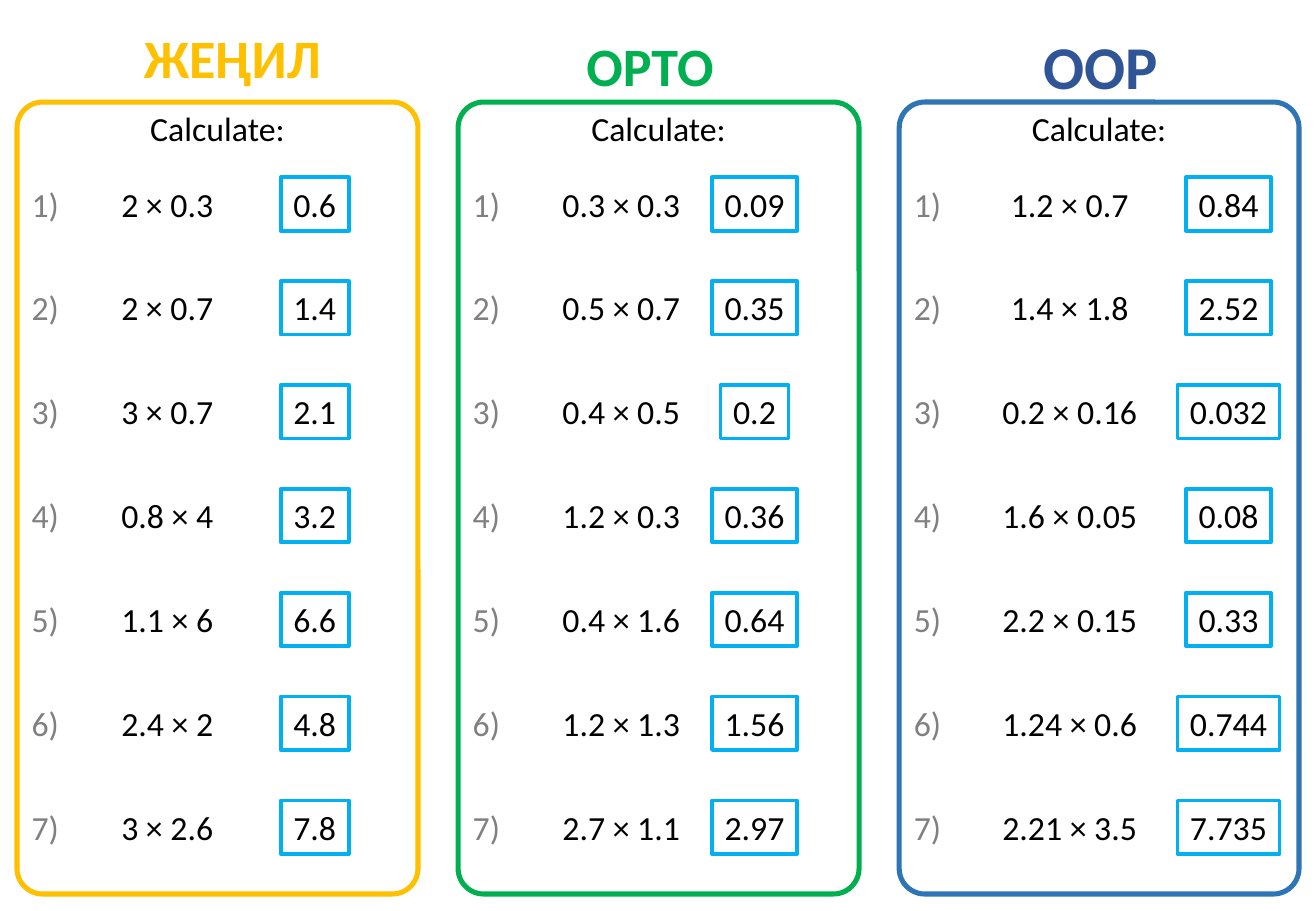
from pptx import Presentation
from pptx.dml import color
from pptx.enum import shapes, text
from pptx import util as u

FONT = "Calibri"
BLACK, GRAY, WHITE, CYAN = "000000", "808080", "FFFFFF", "00B0F0"
ROW_TOP, ROW_PITCH, LINE_HEIGHT = 0.62, 0.855, 0.44

CARDS = [
    dict(box=(0.14, 0.84, 3.3, 6.52), outline="FFC000",
         title="ЖЕҢИЛ", title_box=(0.72, -0.69, 2.11, 0.64),
         title_size=32, title_color="FFC000",
         question_center=1.24, answer_center=2.45,
         sums=[("2 × 0.3", "0.6"), ("2 × 0.7", "1.4"), ("3 × 0.7", "2.1"),
               ("0.8 × 4", "3.2"), ("1.1 × 6", "6.6"), ("2.4 × 2", "4.8"),
               ("3 × 2.6", "7.8")]),
    dict(box=(3.77, 0.84, 3.3, 6.52), outline="00B050",
         title="ОРТО", title_box=(0.93, -0.62, 1.3, 0.58),
         title_size=32, title_color="00B050",
         question_center=1.35, answer_center=2.44,
         sums=[("0.3 × 0.3", "0.09"), ("0.5 × 0.7", "0.35"), ("0.4 × 0.5", "0.2"),
               ("1.2 × 0.3", "0.36"), ("0.4 × 1.6", "0.64"), ("1.2 × 1.3", "1.56"),
               ("2.7 × 1.1", "2.97")]),
    dict(box=(7.4, 0.84, 3.29, 6.52), outline="2E75B6",
         title="ООР", title_box=(0.94, -0.65, 1.43, 0.71),
         title_size=36, title_color="2F5597",
         question_center=1.41, answer_center=2.71,
         sums=[("1.2 × 0.7", "0.84"), ("1.4 × 1.8", "2.52"), ("0.2 × 0.16", "0.032"),
               ("1.6 × 0.05", "0.08"), ("2.2 × 0.15", "0.33"), ("1.24 × 0.6", "0.744"),
               ("2.21 × 3.5", "7.735")]),
]


def rgb(value):
    """Turn a hex string into a colour."""
    return color.RGBColor.from_string(value)


def inches(box):
    """Convert a left, top, width, height box to lengths."""
    return [u.Inches(length) for length in box]


def text_width(content):
    """Return the width a sum or an answer needs, insets included."""
    digits = sum(character.isdigit() for character in content)
    return 0.2 + 0.14 * digits + 0.08 * content.count(".") + 0.26 * content.count("×")


def centered_box(center, top, content):
    """Return a one-line box around a centre position."""
    width = text_width(content)
    return center - width / 2, top, width, LINE_HEIGHT


def write(shape, content, size=20, ink=BLACK, bold=False, align="CENTER",
          insets=(0.1, 0.05, 0.1, 0.05), wrap=False):
    """Put one formatted line of text in a shape."""
    frame = shape.text_frame
    frame.word_wrap = wrap
    frame.vertical_anchor = text.MSO_ANCHOR.TOP
    (frame.margin_left, frame.margin_top,
     frame.margin_right, frame.margin_bottom) = inches(insets)
    paragraph = frame.paragraphs[0]
    paragraph.text = content
    paragraph.alignment = getattr(text.PP_ALIGN, align)
    font = paragraph.runs[0].font
    font.name, font.size, font.bold = FONT, u.Pt(size), bold
    font.color.rgb = rgb(ink)


def add_text(slide, box, content, **formats):
    """Add a text box with one formatted line."""
    write(slide.shapes.add_textbox(*inches(box)), content, **formats)


def add_outline(slide, kind, box, line_color, line_width, fill=None):
    """Add an outlined preset shape."""
    shape = slide.shapes.add_shape(kind, *inches(box))
    shape.shadow.inherit = False
    if fill:
        shape.fill.solid()
        shape.fill.fore_color.rgb = rgb(fill)
    else:
        shape.fill.background()
    shape.line.color.rgb = rgb(line_color)
    shape.line.width = u.Pt(line_width)
    return shape


def add_sum(slide, left, top, number, question, answer, question_center, answer_center):
    """Add a numbered sum and its boxed answer."""
    add_text(slide, (left, top + 0.05, 0.35, 0.34), f"{number})",
             ink=GRAY, align="LEFT", insets=(0.12, 0, 0, 0))
    add_text(slide, centered_box(left + question_center, top, question),
             question, align="LEFT")
    answer_box = add_outline(slide, shapes.MSO_SHAPE.RECTANGLE,
                             centered_box(left + answer_center, top, answer),
                             CYAN, 2.25, WHITE)
    write(answer_box, answer)


def add_card(slide, box, outline, title, title_box, title_size, title_color,
             question_center, answer_center, sums):
    """Add one difficulty level with its title and sums."""
    left, top, width, height = box
    frame = add_outline(slide, shapes.MSO_SHAPE.ROUNDED_RECTANGLE, box, outline, 3)
    frame.adjustments[0] = 0.064
    add_text(slide, (left + width / 2 - 0.66, top, 1.32, LINE_HEIGHT), "Calculate:")
    for row, (question, answer) in enumerate(sums):
        add_sum(slide, left, top + ROW_TOP + row * ROW_PITCH, row + 1,
                question, answer, question_center, answer_center)
    title_left, title_top, title_width, title_height = title_box
    add_text(slide, (left + title_left, top + title_top, title_width, title_height),
             title, size=title_size, ink=title_color, bold=True, wrap=True)


def main():
    """Build the worksheet slide."""
    presentation = Presentation()
    presentation.slide_width = u.Inches(10.83)
    presentation.slide_height = u.Inches(7.5)
    slide = presentation.slides.add_slide(presentation.slide_layouts[6])
    for card in CARDS:
        add_card(slide, **card)
    presentation.save("out.pptx")


if __name__ == "__main__":
    main()
